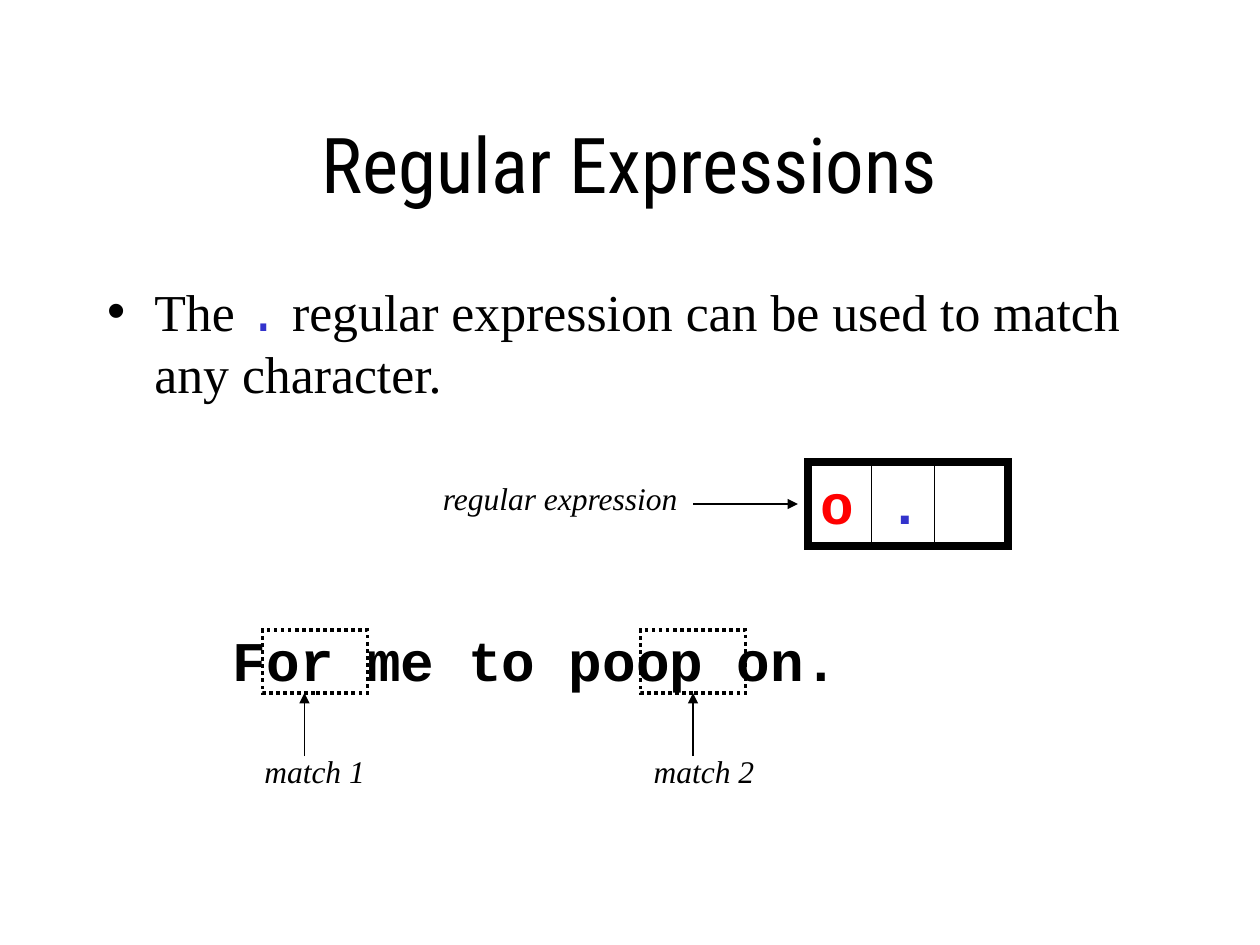
import dataclasses

import lxml.etree
import pptx
import pptx.dml.color
import pptx.enum.dml
import pptx.enum.shapes
import pptx.enum.text
import pptx.oxml.ns
import pptx.shapes.autoshape
import pptx.slide
import pptx.text.text
import pptx.util

Pt = pptx.util.Pt
Color = pptx.dml.color.RGBColor
qn = pptx.oxml.ns.qn


@dataclasses.dataclass(frozen=True)
class Theme:
    ink: Color = Color(0x00, 0x00, 0x00)
    literal: Color = Color(0xFF, 0x00, 0x00)
    wildcard: Color = Color(0x33, 0x33, 0xCC)
    title_font: str = "Roboto Condensed"
    body_font: str = "Times New Roman"
    code_font: str = "Courier New"
    title_size: float = 44
    body_size: float = 29.6
    code_size: float = 32
    label_size: float = 18
    thin: float = 0.75
    dotted: float = 2
    thick: float = 4.5


THEME = Theme()


@dataclasses.dataclass(frozen=True)
class Box:
    left: float
    top: float
    width: float
    height: float


@dataclasses.dataclass(frozen=True)
class Run:
    text: str
    font: str
    size: float
    color: Color = THEME.ink
    bold: bool = False
    italic: bool = False


@dataclasses.dataclass(frozen=True)
class Match:
    label: str
    frame_left: float
    label_left: float
    arrow_x: float


MATCHES = (
    Match("match 1", 150, 144, 174),
    Match("match 2", 366, 366.5, 396),
)


def place(shape: pptx.shapes.autoshape.Shape, box: Box) -> None:
    shape.left, shape.top = Pt(box.left), Pt(box.top)
    shape.width, shape.height = Pt(box.width), Pt(box.height)


def add_runs(paragraph: pptx.text.text._Paragraph, runs: list[Run]) -> None:
    for item in runs:
        run = paragraph.add_run()
        run.text = item.text
        run.font.name = item.font
        run.font.size = Pt(item.size)
        run.font.color.rgb = item.color
        run.font.bold = item.bold
        run.font.italic = item.italic


def add_text(slide: pptx.slide.Slide, box: Box, runs: list[Run],
             wrap: bool = True) -> None:
    shape = slide.shapes.add_textbox(
        Pt(box.left), Pt(box.top), Pt(box.width), Pt(box.height))
    frame = shape.text_frame
    frame.word_wrap = wrap
    frame.auto_size = pptx.enum.text.MSO_AUTO_SIZE.SHAPE_TO_FIT_TEXT
    add_runs(frame.paragraphs[0], runs)


def add_label(slide: pptx.slide.Slide, box: Box, text: str) -> None:
    run = Run(text, THEME.body_font, THEME.label_size, italic=True)
    add_text(slide, box, [run], wrap=False)


def add_frame(slide: pptx.slide.Slide, box: Box, weight: float,
              dotted: bool = False) -> None:
    shape = slide.shapes.add_shape(
        pptx.enum.shapes.MSO_SHAPE.RECTANGLE,
        Pt(box.left), Pt(box.top), Pt(box.width), Pt(box.height))
    shape.shadow.inherit = False
    shape.fill.background()
    shape.line.color.rgb = THEME.ink
    shape.line.width = Pt(weight)
    if dotted:
        shape.line.dash_style = pptx.enum.dml.MSO_LINE.ROUND_DOT
    # Square corners
    outline = shape._element.spPr.find(qn("a:ln"))
    lxml.etree.SubElement(outline, qn("a:miter"), lim="800000")


def add_line(slide: pptx.slide.Slide, start: tuple[float, float],
             end: tuple[float, float], arrow: bool = False) -> None:
    connector = slide.shapes.add_connector(
        pptx.enum.shapes.MSO_CONNECTOR.STRAIGHT,
        Pt(start[0]), Pt(start[1]), Pt(end[0]), Pt(end[1]))
    connector.line.color.rgb = THEME.ink
    connector.line.width = Pt(THEME.thin)
    properties = connector._element.spPr
    if arrow:
        outline = properties.find(qn("a:ln"))
        lxml.etree.SubElement(outline, qn("a:tailEnd"), type="triangle")
    lxml.etree.SubElement(properties, qn("a:effectLst"))


def fill_placeholders(slide: pptx.slide.Slide) -> None:
    # Title
    title = slide.shapes.title
    place(title, Box(54, 48, 612, 90))
    title.text_frame.auto_size = pptx.enum.text.MSO_AUTO_SIZE.NONE
    paragraph = title.text_frame.paragraphs[0]
    paragraph.alignment = pptx.enum.text.PP_ALIGN.CENTER
    add_runs(paragraph, [
        Run("Regular Expressions", THEME.title_font, THEME.title_size)])

    # Bulleted statement
    body = slide.placeholders[1]
    place(body, Box(54, 156, 612, 84))
    body.text_frame.auto_size = pptx.enum.text.MSO_AUTO_SIZE.NONE
    paragraph = body.text_frame.paragraphs[0]
    paragraph.space_before = Pt(0)
    properties = paragraph._p.get_or_add_pPr()
    properties.set("marL", str(Pt(27)))
    properties.set("indent", str(Pt(-27)))
    lxml.etree.SubElement(properties, qn("a:buChar"), char="•")
    add_runs(paragraph, [
        Run("The ", THEME.body_font, THEME.body_size),
        Run(".", THEME.code_font, THEME.body_size, THEME.wildcard),
        Run(" regular expression can be used to match any character.",
            THEME.body_font, THEME.body_size),
    ])


def draw_expression(slide: pptx.slide.Slide) -> None:
    cells = Box(462, 264, 114, 48)
    add_label(slide, Box(246, 270, 150, 28.8), "regular expression")
    add_line(slide, (396, 288), (456, 288), arrow=True)
    add_frame(slide, cells, THEME.thick)
    add_text(slide, Box(cells.left, cells.top, 102, 84), [
        Run("o ", THEME.code_font, THEME.code_size, THEME.literal, bold=True),
        Run(".", THEME.code_font, THEME.code_size, THEME.wildcard, bold=True),
    ])
    # Cell dividers
    for x in (498, 534, cells.left + cells.width):
        add_line(slide, (x, cells.top), (x, cells.top + cells.height))


def draw_matches(slide: pptx.slide.Slide) -> None:
    add_text(slide, Box(126, 354, 486, 46), [
        Run("For me to poop on.", THEME.code_font, THEME.code_size, bold=True),
    ])
    for match in MATCHES:
        add_frame(slide, Box(match.frame_left, 360, 60, 36),
                  THEME.dotted, dotted=True)
        add_label(slide, Box(match.label_left, 426, 72, 28.8), match.label)
        add_line(slide, (match.arrow_x, 432), (match.arrow_x, 396), arrow=True)


def main() -> None:
    presentation = pptx.Presentation()
    presentation.slide_width, presentation.slide_height = Pt(720), Pt(540)
    slide = presentation.slides.add_slide(presentation.slide_layouts[1])
    fill_placeholders(slide)
    draw_expression(slide)
    draw_matches(slide)
    presentation.save("out.pptx")


if __name__ == "__main__":
    main()
